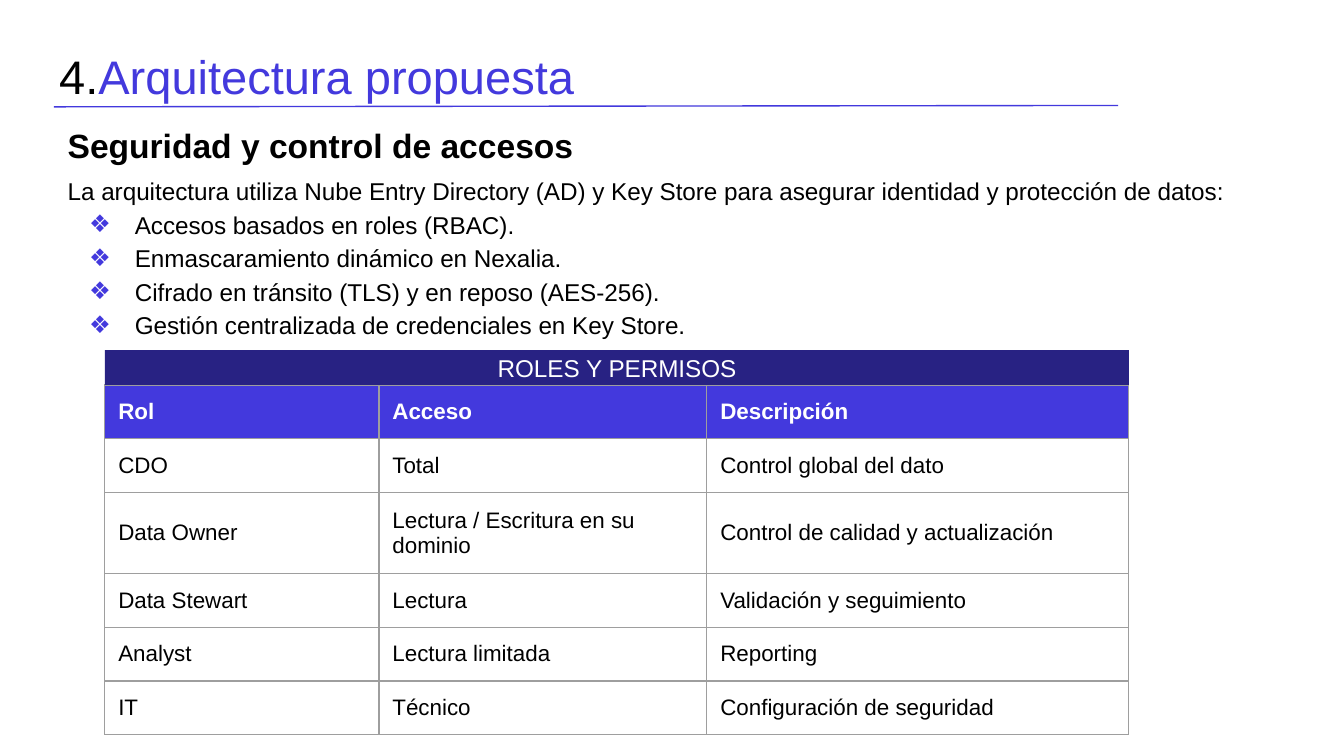
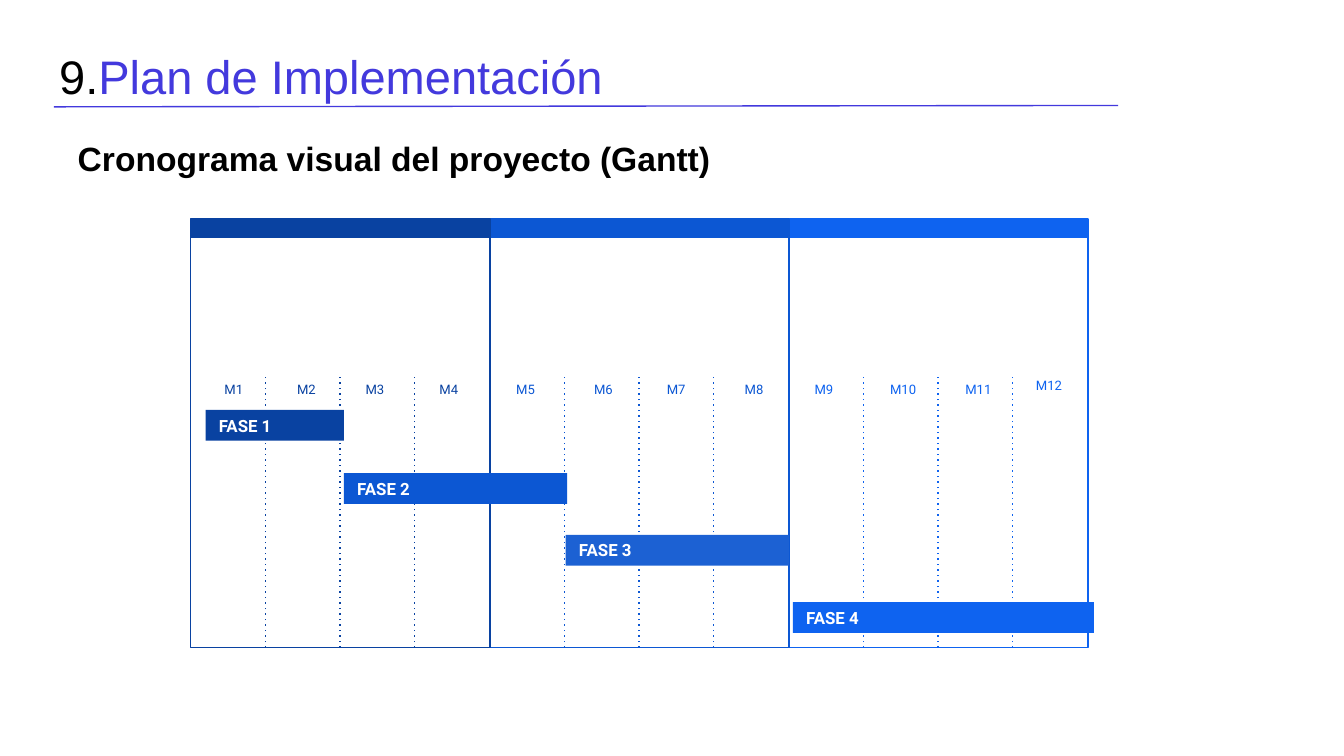
from lxml.etree import SubElement
from pptx import Presentation
from pptx.dml.color import RGBColor
from pptx.enum.shapes import MSO_CONNECTOR, MSO_SHAPE
from pptx.enum.text import MSO_ANCHOR, MSO_AUTO_SIZE, PP_ALIGN
from pptx.oxml.ns import qn
from pptx.util import Emu, Pt

EMU_PER_PX = 4572
SLIDE_SIZE = (2000, 1125)
TITLE_BOX = (68, 51, 1864, 126)
INSET = 20
TITLE_ONLY = 5
COLORS = {
    "text": "000000",
    "white": "FFFFFF",
    "accent": "4339DD",
    "band": "282283",
    "border": "9E9E9E",
    "early": "0942A1",
    "middle": "0C57D3",
    "third_phase": "1C61D3",
    "late": "0E63F0",
}

INTRODUCTION = (
    "La arquitectura utiliza Nube Entry Directory (AD) y Key Store "
    "para asegurar identidad y protección de datos:"
)
MEASURES = [
    "Accesos basados en roles (RBAC).",
    "Enmascaramiento dinámico en Nexalia.",
    "Cifrado en tránsito (TLS) y en reposo (AES-256).",
    "Gestión centralizada de credenciales en Key Store.",
]
ROLES = [
    ("Rol", "Acceso", "Descripción"),
    ("CDO", "Total", "Control global del dato"),
    ("Data Owner", "Lectura / Escritura en su dominio", "Control de calidad y actualización"),
    ("Data Stewart", "Lectura", "Validación y seguimiento"),
    ("Analyst", "Lectura limitada", "Reporting"),
    ("IT", "Técnico", "Configuración de seguridad"),
]
ROLE_WIDTHS = (408, 488, 628)
ROLE_HEIGHTS = (80, 80, 120, 80, 80, 80)

PERIOD_WIDTH = 445
PERIODS = [
    ("early", [("M1", 28, 72, 38), ("M2", 136, 72, 38), ("M3", 238, 72, 38), ("M4", 348, 72, 38)]),
    ("middle", [("M5", 15, 76, 38), ("M6", 131, 76, 38), ("M7", 239, 76, 38), ("M8", 355, 76, 38)]),
    ("late", [("M9", 14, 76, 38), ("M10", 116, 108, 38), ("M11", 228, 108, 38), ("M12", 344, 86, 28)]),
]
PHASES = [
    ("FASE 1", 22, 284, 206, "early"),
    ("FASE 2", 228, 378, 332, "middle"),
    ("FASE 3", 558, 470, 332, "third_phase"),
    ("FASE 4", 896, 570, 448, "late"),
]


def px(length):
    """Turn a length in px into EMU."""
    return Emu(length * EMU_PER_PX)


def color(name):
    """Look up a named colour."""
    return RGBColor.from_string(COLORS[name])


def style_font(font, size, color_name, bold=False, name="Arial"):
    """Set the size, colour, weight and family of a font."""
    font.size = Pt(size)
    font.name = name
    font.bold = bold
    font.color.rgb = color(color_name)


def prepare_frame(frame, anchor=MSO_ANCHOR.TOP):
    """Give a text frame wrapping, equal insets and an anchor."""
    frame.word_wrap = True
    frame.vertical_anchor = anchor
    frame.margin_left = frame.margin_right = px(INSET)
    frame.margin_top = frame.margin_bottom = px(INSET)


def write_line(shape, text, size, color_name, bold=False, name="Arial", align=PP_ALIGN.LEFT):
    """Write one vertically centred line of text into a shape."""
    prepare_frame(shape.text_frame, MSO_ANCHOR.MIDDLE)
    paragraph = shape.text_frame.paragraphs[0]
    paragraph.text = text
    paragraph.alignment = align
    style_font(paragraph.font, size, color_name, bold, name)


def add_rectangle(shapes, box, fill=None, outline=None):
    """Add a flat rectangle with an optional fill and outline."""
    rectangle = shapes.add_shape(MSO_SHAPE.RECTANGLE, *map(px, box))
    rectangle.shadow.inherit = False
    if fill:
        rectangle.fill.solid()
        rectangle.fill.fore_color.rgb = color(fill)
    else:
        rectangle.fill.background()
    if outline:
        rectangle.line.color.rgb = color(outline)
        rectangle.line.width = Pt(0.75)
    else:
        rectangle.line.fill.background()
    return rectangle


def add_line(shapes, start, end, color_name, dotted=False):
    """Add a thin straight line, solid or dotted."""
    line = shapes.add_connector(MSO_CONNECTOR.STRAIGHT, *map(px, start + end))
    line.line.color.rgb = color(color_name)
    line.line.width = Pt(0.75)
    properties = line._element.spPr
    if dotted:
        SubElement(properties.find(qn("a:ln")), qn("a:prstDash"), val="dot")
    SubElement(properties, qn("a:effectLst"))


def add_bullet(paragraph):
    """Give a paragraph a hanging diamond bullet."""
    properties = paragraph._p.get_or_add_pPr()
    properties.set("marL", str(px(100)))
    properties.set("indent", str(px(-68)))
    bullet_color = SubElement(properties, qn("a:buClr"))
    SubElement(bullet_color, qn("a:srgbClr"), val=COLORS["accent"])
    SubElement(properties, qn("a:buFont"), typeface="Arial")
    SubElement(properties, qn("a:buChar"), char="❖")


def add_text(slide, box, texts, size, bold=False):
    """Add a text box whose paragraphs after the first are bulleted."""
    shape = slide.shapes.add_textbox(*map(px, box))
    frame = shape.text_frame
    prepare_frame(frame)
    frame.auto_size = MSO_AUTO_SIZE.SHAPE_TO_FIT_TEXT
    for index, text in enumerate(texts):
        paragraph = frame.add_paragraph() if index else frame.paragraphs[0]
        paragraph.text = text
        if index:
            add_bullet(paragraph)
        paragraph.line_spacing = 1.15
        style_font(paragraph.font, size, "text", bold)


def add_titled_slide(presentation, number, title):
    """Add a slide with its numbered title and the rule below it."""
    slide = presentation.slides.add_slide(presentation.slide_layouts[TITLE_ONLY])
    shape = slide.shapes.title
    shape.left, shape.top, shape.width, shape.height = map(px, TITLE_BOX)
    frame = shape.text_frame
    prepare_frame(frame)
    frame.auto_size = MSO_AUTO_SIZE.NONE
    paragraph = frame.paragraphs[0]
    paragraph.alignment = PP_ALIGN.LEFT
    paragraph.font.size = Pt(25.2)
    paragraph.font.name = "Arial"
    for text, color_name in ((number, "text"), (title, "accent")):
        run = paragraph.add_run()
        run.text = text
        run.font.color.rgb = color(color_name)
    add_line(slide.shapes, (80, 159), (1664, 157), "accent")
    return slide


def add_cell_borders(cell):
    """Draw a thin border on each side of a table cell."""
    properties = cell._tc.get_or_add_tcPr()
    for side in ("a:lnL", "a:lnR", "a:lnT", "a:lnB"):
        border = SubElement(properties, qn(side), w=str(Pt(0.75)))
        fill = SubElement(border, qn("a:solidFill"))
        SubElement(fill, qn("a:srgbClr"), val=COLORS["border"])


def fill_cell(cell, text, is_header):
    """Write and format one cell of the roles table."""
    cell.text = text
    cell.vertical_anchor = MSO_ANCHOR.MIDDLE
    cell.margin_left = cell.margin_right = px(INSET)
    cell.margin_top = cell.margin_bottom = px(INSET)
    add_cell_borders(cell)
    if is_header:
        cell.fill.solid()
        cell.fill.fore_color.rgb = color("accent")
    else:
        cell.fill.background()
    font = cell.text_frame.paragraphs[0].font
    style_font(font, 12, "white" if is_header else "text", is_header)


def add_roles(slide, left, top):
    """Add the roles table below its caption band."""
    width, band_height = sum(ROLE_WIDTHS), 52
    table = slide.shapes.add_table(
        len(ROLES), len(ROLE_WIDTHS),
        *map(px, (left, top + band_height, width, sum(ROLE_HEIGHTS))),
    ).table
    table.first_row = table.horz_banding = False
    for column, column_width in zip(table.columns, ROLE_WIDTHS):
        column.width = px(column_width)
    for index, (row, height, texts) in enumerate(zip(table.rows, ROLE_HEIGHTS, ROLES)):
        row.height = px(height)
        for cell, text in zip(row.cells, texts):
            fill_cell(cell, text, index == 0)
    band = add_rectangle(slide.shapes, (left, top, width, band_height), "band")
    write_line(band, "ROLES Y PERMISOS", 13, "white", align=PP_ALIGN.CENTER)


def add_period(slide, box, color_name, months):
    """Add a four-month panel with its header, labels and dividers."""
    left, top, width, height = box
    month_top = top + 234
    shapes = slide.shapes.add_group_shape().shapes
    add_rectangle(shapes, box, outline=color_name)
    add_rectangle(shapes, (left, top, width, 28), color_name)
    for text, offset, label_width, label_height in months:
        label_box = (left + offset, month_top, label_width, label_height)
        label = shapes.add_textbox(*map(px, label_box))
        write_line(label, text, 7, color_name, name="Roboto", align=PP_ALIGN.CENTER)
    for index in range(1, len(months)):
        x = left + index * width // len(months)
        add_line(shapes, (x, top + height), (x, month_top), color_name, dotted=True)


def add_gantt(slide, left, top):
    """Add the period panels and the phase bars over them."""
    for index, (color_name, months) in reversed(list(enumerate(PERIODS))):
        box = (left + index * PERIOD_WIDTH, top, PERIOD_WIDTH, 638)
        add_period(slide, box, color_name, months)
    for text, x, y, width, color_name in PHASES:
        bar = add_rectangle(slide.shapes, (left + x, top + y, width, 46), color_name)
        write_line(bar, text, 9, "white", True, "Roboto")


def build_security_slide(presentation):
    """Build the slide on security and access control."""
    slide = add_titled_slide(presentation, "4.", "Arquitectura propuesta")
    add_text(slide, (81, 157, 1328, 100), ["Seguridad y control de accesos"], 18, True)
    add_text(slide, (81, 236, 1786, 394), [INTRODUCTION] + MEASURES, 13)
    add_roles(slide, 156, 521)


def build_schedule_slide(presentation):
    """Build the slide with the project schedule."""
    slide = add_titled_slide(presentation, "9.", "Plan de Implementación")
    add_text(slide, (96, 176, 1484, 100), ["Cronograma visual del proyecto (Gantt)"], 18, True)
    add_gantt(slide, 284, 326)


def main():
    """Build and save the presentation."""
    presentation = Presentation()
    presentation.slide_width, presentation.slide_height = map(px, SLIDE_SIZE)
    build_security_slide(presentation)
    build_schedule_slide(presentation)
    presentation.save("out.pptx")


if __name__ == "__main__":
    main()
